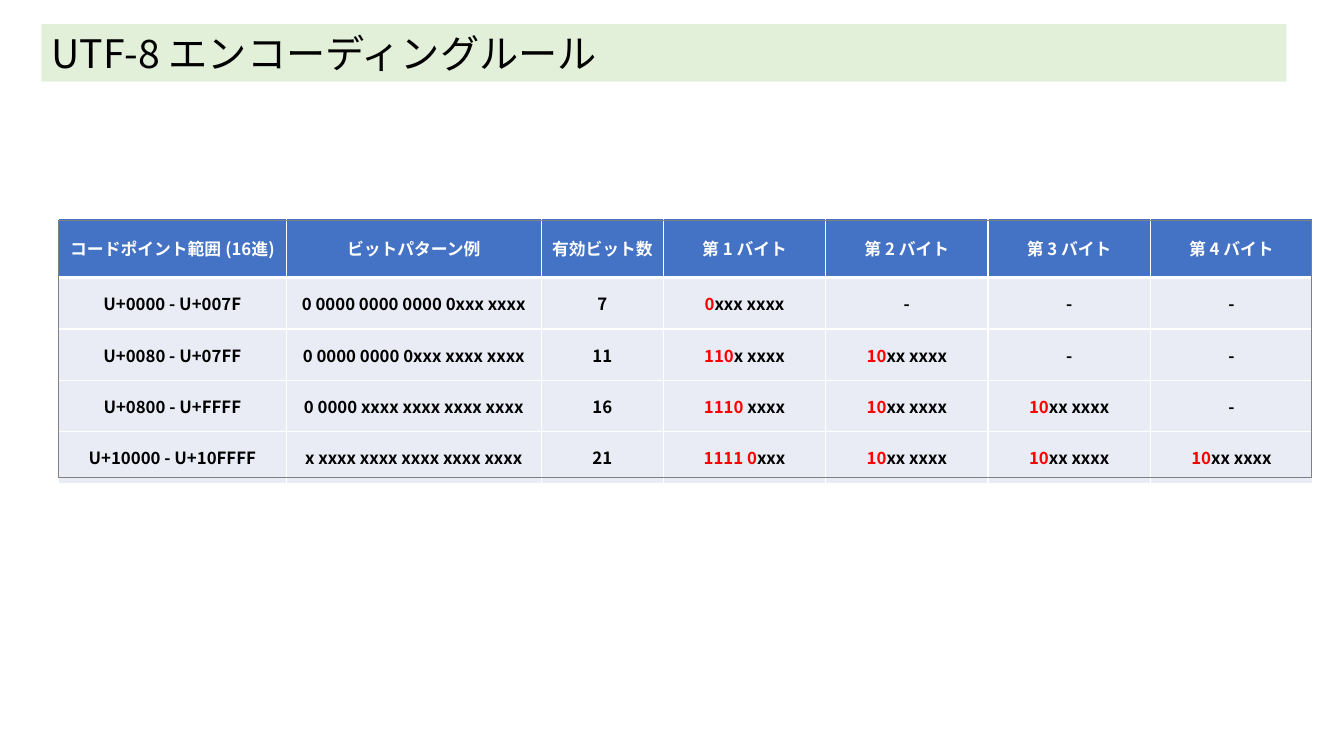
from lxml import etree
from pptx import Presentation
from pptx import util as u
from pptx.dml.color import RGBColor
from pptx.enum import shapes, text
from pptx.oxml.ns import qn

FONT = "Noto Sans CJK JP"
COLORS = {
    "title": "E2F0D9",
    "header": "4472C4",
    "body": "E9EBF5",
    "white": "FFFFFF",
    "black": "000000",
    "prefix": "FF0000",
    "frame": "808080",
}
WIDTHS = [2.26, 2.53, 1.21] + [1.61] * 4
ROW_HEIGHT = 0.51
HEADERS = ["コードポイント範囲 (16進)", "ビットパターン例", "有効ビット数"] + [
    f"第 {n} バイト" for n in range(1, 5)
]
TAIL = "10|xx xxxx"
ENCODINGS = [
    ["U+0000 - U+007F", "0 0000 0000 0000 0xxx xxxx", "7", "0|xxx xxxx"],
    ["U+0080 - U+07FF", "0 0000 0000 0xxx xxxx xxxx", "11", "110|x xxxx"],
    ["U+0800 - U+FFFF", "0 0000 xxxx xxxx xxxx xxxx", "16", "1110 |xxxx"],
    ["U+10000 - U+10FFFF", "x xxxx xxxx xxxx xxxx xxxx", "21", "1111 0|xxx"],
]


def color(name):
    return RGBColor.from_string(COLORS[name])


def place(sp, left, top, width, height):
    sp.left, sp.top = u.Inches(left), u.Inches(top)
    sp.width, sp.height = u.Inches(width), u.Inches(height)


def format_run(r, size, name, bold=False):
    r.font.size = u.Pt(size)
    r.font.bold = bold
    r.font.color.rgb = color(name)
    r.font.name = FONT
    latin = r.font._element.find(qn("a:latin"))
    ea = etree.Element(qn("a:ea"), typeface=FONT)
    latin.addnext(ea)


def set_borders(cell, top, bottom):
    tc_pr = cell._tc.get_or_add_tcPr()
    sides = {"L": 1, "R": 1, "T": top, "B": bottom}
    for i, (side, width) in enumerate(sides.items()):
        ln = etree.Element(qn(f"a:ln{side}"), w=str(u.Pt(width)))
        fill = etree.SubElement(ln, qn("a:solidFill"))
        etree.SubElement(fill, qn("a:srgbClr"), val=COLORS["white"])
        tc_pr.insert(i, ln)


def fill_cell(cell, content, fill, ink):
    cell.fill.solid()
    cell.fill.fore_color.rgb = color(fill)
    cell.vertical_anchor = text.MSO_ANCHOR.MIDDLE
    p = cell.text_frame.paragraphs[0]
    p.alignment = text.PP_ALIGN.CENTER
    prefix, _, rest = content.rpartition("|")
    for part, name in ((prefix, "prefix"), (rest, ink)):
        if part:
            r = p.add_run()
            r.text = part
            format_run(r, 12, name, bold=True)


def add_title(s, content):
    sp = s.shapes.title
    place(sp, 0.41, 0.24, 12.35, 0.57)
    sp.fill.solid()
    sp.fill.fore_color.rgb = color("title")
    tf = sp.text_frame
    tf.text = content
    tf.auto_size = text.MSO_AUTO_SIZE.NONE
    tf.vertical_anchor = text.MSO_ANCHOR.MIDDLE
    p = tf.paragraphs[0]
    p.alignment = text.PP_ALIGN.LEFT
    format_run(p.runs[0], 28, "black")


def add_encoding_table(s):
    rows = [HEADERS]
    for i, encoding in enumerate(ENCODINGS):
        rows.append(encoding + [TAIL] * i + ["-"] * (3 - i))
    table = s.shapes.add_table(
        len(rows), len(WIDTHS), u.Inches(0.58), u.Inches(2.17),
        u.Inches(sum(WIDTHS)), u.Inches(ROW_HEIGHT * len(rows)),
    ).table
    for column, width in zip(table.columns, WIDTHS):
        column.width = u.Inches(width)
    for i, row in enumerate(rows):
        table.rows[i].height = u.Inches(ROW_HEIGHT)
        fill, ink = ("body", "black") if i else ("header", "white")
        for j, content in enumerate(row):
            cell = table.cell(i, j)
            fill_cell(cell, content, fill, ink)
            set_borders(cell, 3 if i == 1 else 1, 3 if i == 0 else 1)
            if i and j == 0:
                cell.margin_left = cell.margin_right = u.Inches(0.08)
                cell.margin_top = cell.margin_bottom = u.Inches(0.08)


def add_frame(s):
    sp = s.shapes.add_shape(
        shapes.MSO_SHAPE.RECTANGLE, u.Inches(0.58), u.Inches(2.19),
        u.Inches(12.43), u.Inches(2.55),
    )
    sp.shadow.inherit = False
    sp.fill.background()
    sp.line.color.rgb = color("frame")
    sp.line.width = u.Pt(1)


def main():
    prs = Presentation()
    prs.slide_width, prs.slide_height = u.Inches(13.33), u.Inches(7.5)
    s = prs.slides.add_slide(prs.slide_layouts[5])
    add_title(s, "UTF-8 エンコーディングルール")
    add_encoding_table(s)
    add_frame(s)
    prs.save("out.pptx")


if __name__ == "__main__":
    main()
